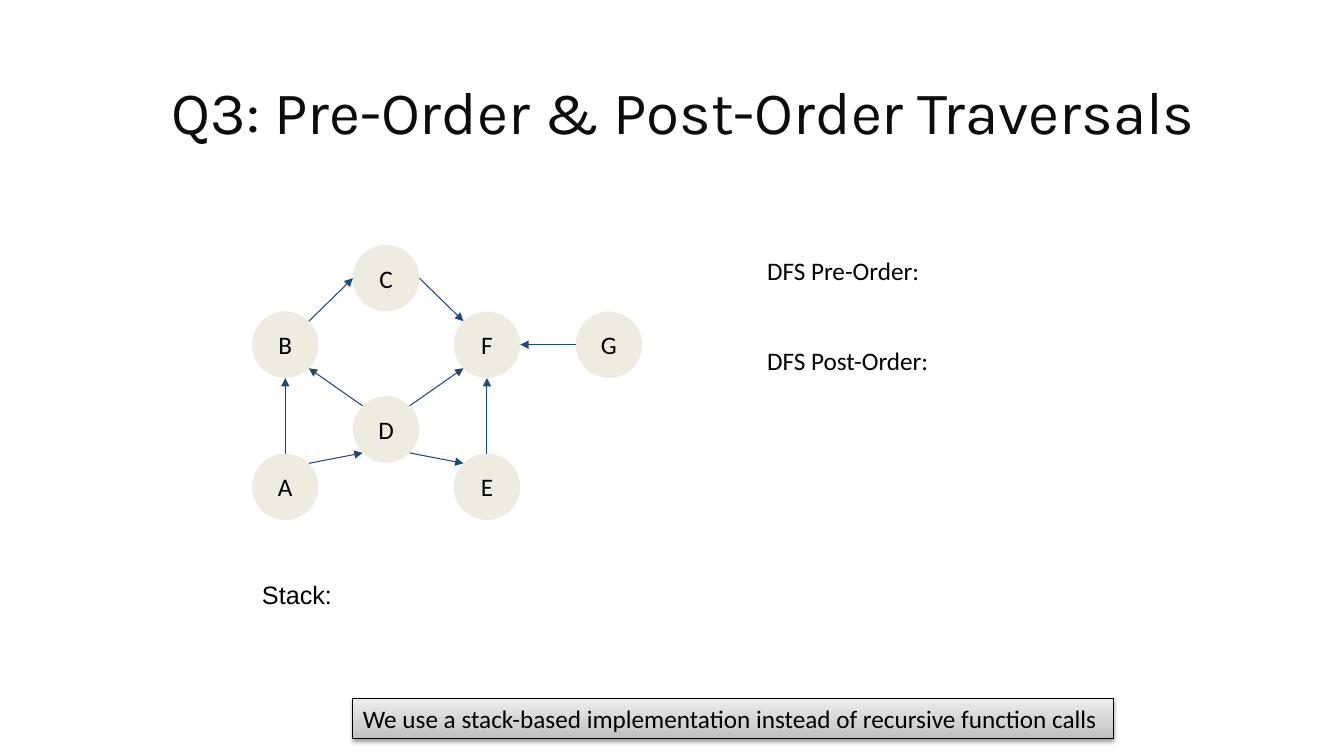
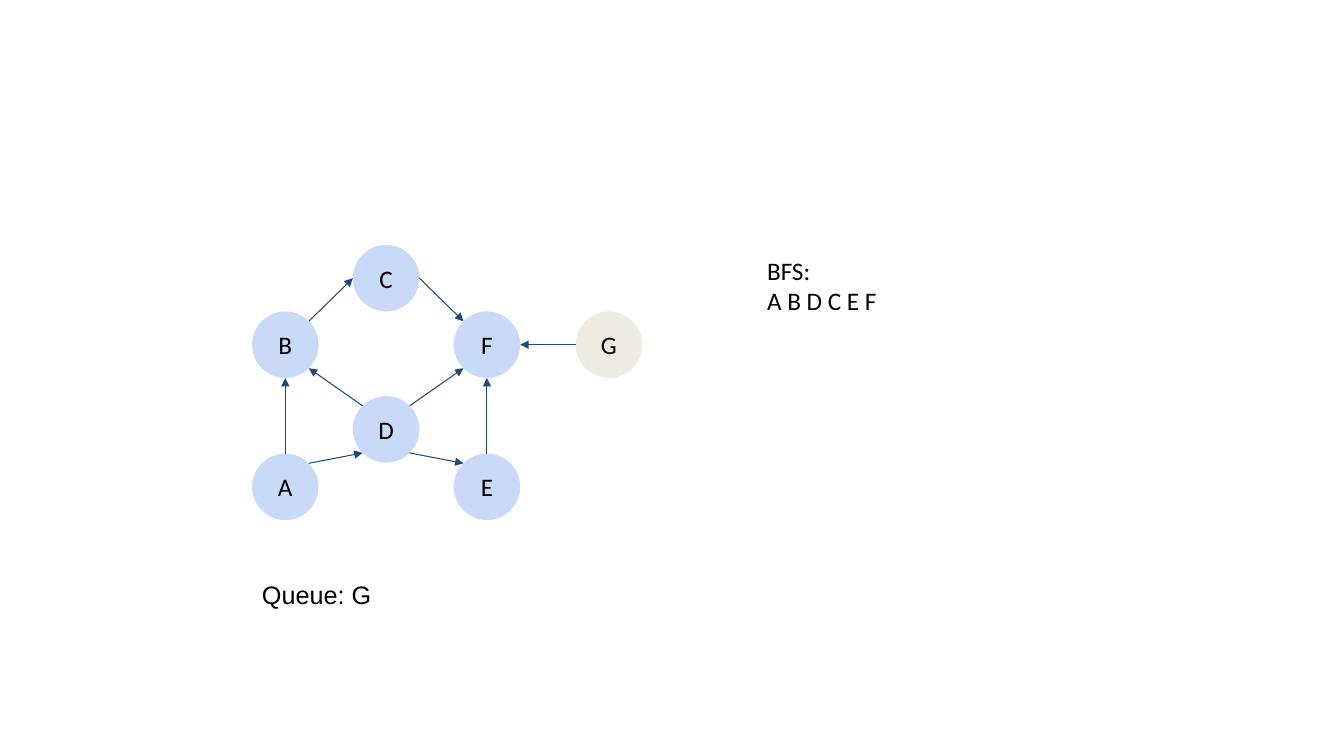
import copy
import dataclasses
import math

import pptx
import pptx.dml.color
import pptx.enum.dml
import pptx.enum.shapes
import pptx.enum.text
import pptx.oxml
import pptx.oxml.ns
import pptx.util

Inches = pptx.util.Inches
Pt = pptx.util.Pt
ALIGN = pptx.enum.text.PP_ALIGN
ANCHOR = pptx.enum.text.MSO_ANCHOR
SHAPE = pptx.enum.shapes.MSO_SHAPE

TITLE_ONLY, BLANK = 5, 6
DIAMETER = 0.66
NODES = {
    "A": (2.83, 4.83),
    "B": (2.83, 3.42),
    "D": (3.83, 4.26),
    "E": (4.83, 4.83),
    "F": (4.83, 3.42),
    "C": (3.83, 2.76),
    "G": (6.04, 3.42),
}
# Start node, leaving angle, end node, arriving angle; degrees clockwise from the right.
EDGES = [
    ("A", 270, "B", 90),
    ("A", 315, "D", 135),
    ("D", 225, "B", 45),
    ("B", 315, "C", 180),
    ("D", 315, "F", 135),
    ("D", 45, "E", 225),
    ("E", 270, "F", 90),
    ("C", 0, "F", 225),
    ("G", 180, "F", 0),
]


@dataclasses.dataclass(frozen=True)
class Theme:
    text: str = "000000"
    title: str = "0C0C0C"
    arrow: str = "1F497D"
    unvisited: str = "EEECE1"
    visited: str = "C9DAF8"
    note_stops: tuple = ((0, "BDBDBD"), (0.35, "D1D1D1"), (1, "EEEEEE"))
    title_font: str = "Karla"
    body_font: str = "Calibri"
    label_font: str = "Arial"
    title_size: int = 43
    body_size: int = 18
    line_width: float = 0.75


def color(code):
    return pptx.dml.color.RGBColor.from_string(code)


def rim_point(node, angle):
    x, y = NODES[node]
    turn = math.radians(angle)
    return (Inches(x + DIAMETER / 2 * math.cos(turn)),
            Inches(y + DIAMETER / 2 * math.sin(turn)))


def add_xml(parent, tag, **attributes):
    child = pptx.oxml.parse_xml(f"<a:{tag} {pptx.oxml.ns.nsdecls('a')}/>")
    for name, value in attributes.items():
        child.set(name, str(value))
    parent.append(child)
    return child


class SlideBuilder:
    def __init__(self, theme):
        self.theme = theme
        self.deck = pptx.Presentation()
        self.deck.slide_width = Inches(13.33)
        self.deck.slide_height = Inches(7.5)
        self.page = None

    def start(self, layout):
        self.page = self.deck.slides.add_slide(self.deck.slide_layouts[layout])

    def set_text(self, shape, lines, align=ALIGN.LEFT, anchor=ANCHOR.TOP,
                 inset=0.1, font=None, size=None, ink=None, gap=0):
        frame = shape.text_frame
        frame.word_wrap = True
        frame.auto_size = pptx.enum.text.MSO_AUTO_SIZE.NONE
        frame.vertical_anchor = anchor
        frame.margin_left = frame.margin_right = Inches(0.1)
        frame.margin_top = frame.margin_bottom = Inches(inset)
        frame.text = "\n".join(lines)
        for index, para in enumerate(frame.paragraphs):
            para.alignment = align
            if index and gap:
                para.space_before = Pt(gap)
            for span in para.runs:
                span.font.name = font or self.theme.body_font
                span.font.size = Pt(size or self.theme.body_size)
                span.font.color.rgb = color(ink or self.theme.text)

    def title(self, text):
        box = self.page.shapes.title
        box.left, box.top = Inches(1.49), Inches(0.64)
        box.width, box.height = Inches(10.57), Inches(0.84)
        self.set_text(box, [text], align=ALIGN.CENTER, font=self.theme.title_font,
                      size=self.theme.title_size, ink=self.theme.title)

    def text(self, lines, left, top, width, height, **style):
        box = self.page.shapes.add_textbox(
            Inches(left), Inches(top), Inches(width), Inches(height))
        self.set_text(box, lines, **style)

    def node(self, name, fill):
        x, y = NODES[name]
        circle = self.page.shapes.add_shape(
            SHAPE.OVAL, Inches(x - DIAMETER / 2), Inches(y - DIAMETER / 2),
            Inches(DIAMETER), Inches(DIAMETER))
        circle.shadow.inherit = False
        circle.fill.solid()
        circle.fill.fore_color.rgb = color(fill)
        circle.line.fill.background()
        self.set_text(circle, [name], align=ALIGN.CENTER, anchor=ANCHOR.MIDDLE)

    def arrow(self, start, end):
        arrow = self.page.shapes.add_connector(
            pptx.enum.shapes.MSO_CONNECTOR.STRAIGHT, *start, *end)
        arrow.line.color.rgb = color(self.theme.arrow)
        arrow.line.width = Pt(self.theme.line_width)
        properties = arrow.element.spPr
        add_xml(properties.find(pptx.oxml.ns.qn("a:ln")), "tailEnd", type="triangle")
        add_xml(properties, "effectLst")

    def graph(self, visited=""):
        for name in NODES:
            self.node(name, self.theme.visited if name in visited
                      else self.theme.unvisited)
        for start, leaving, end, arriving in EDGES:
            self.arrow(rim_point(start, leaving), rim_point(end, arriving))

    def note(self, text):
        box = self.page.shapes.add_shape(
            SHAPE.RECTANGLE, Inches(3.5), Inches(6.93), Inches(7.54), Inches(0.4))
        box.line.color.rgb = color(self.theme.text)
        box.line.width = Pt(self.theme.line_width)
        box.fill.gradient()
        box.fill.gradient_angle = 90
        stop_list = box.element.spPr.find(".//" + pptx.oxml.ns.qn("a:gsLst"))
        stop_list.insert(1, copy.deepcopy(stop_list[0]))
        for stop, (position, code) in zip(box.fill.gradient_stops,
                                          self.theme.note_stops):
            stop.position = position
            stop.color.rgb = color(code)
        box.shadow.inherit = False
        effects = box.element.spPr.find(pptx.oxml.ns.qn("a:effectLst"))
        shadow = add_xml(effects, "outerShdw", blurRad=Pt(3.1), dist=Pt(1.6),
                         dir=90 * 60000, rotWithShape=0)
        shade = add_xml(shadow, "srgbClr", val=self.theme.text)
        add_xml(shade, "alpha", val=38000)
        self.set_text(box, [text], inset=0.05)

    def traversal(self, results, height, pending, visited="", gap=0):
        self.graph(visited)
        self.text(results, 7.51, 2.43, 2.43, height, gap=gap)
        self.text([pending], 2.5, 5.65, 8.02, 0.5, font=self.theme.label_font)


def main():
    builder = SlideBuilder(Theme())

    builder.start(TITLE_ONLY)
    builder.title("Q3: Pre-Order & Post-Order Traversals")
    builder.traversal(["DFS Pre-Order:", "DFS Post-Order:"], 1.72, "Stack:", gap=43)
    builder.note("We use a stack-based implementation instead of recursive function calls")

    builder.start(BLANK)
    builder.traversal(["BFS:", "A B D C E F"], 1.11, "Queue: G", visited="ABCDEF")

    builder.deck.save("out.pptx")


if __name__ == "__main__":
    main()
